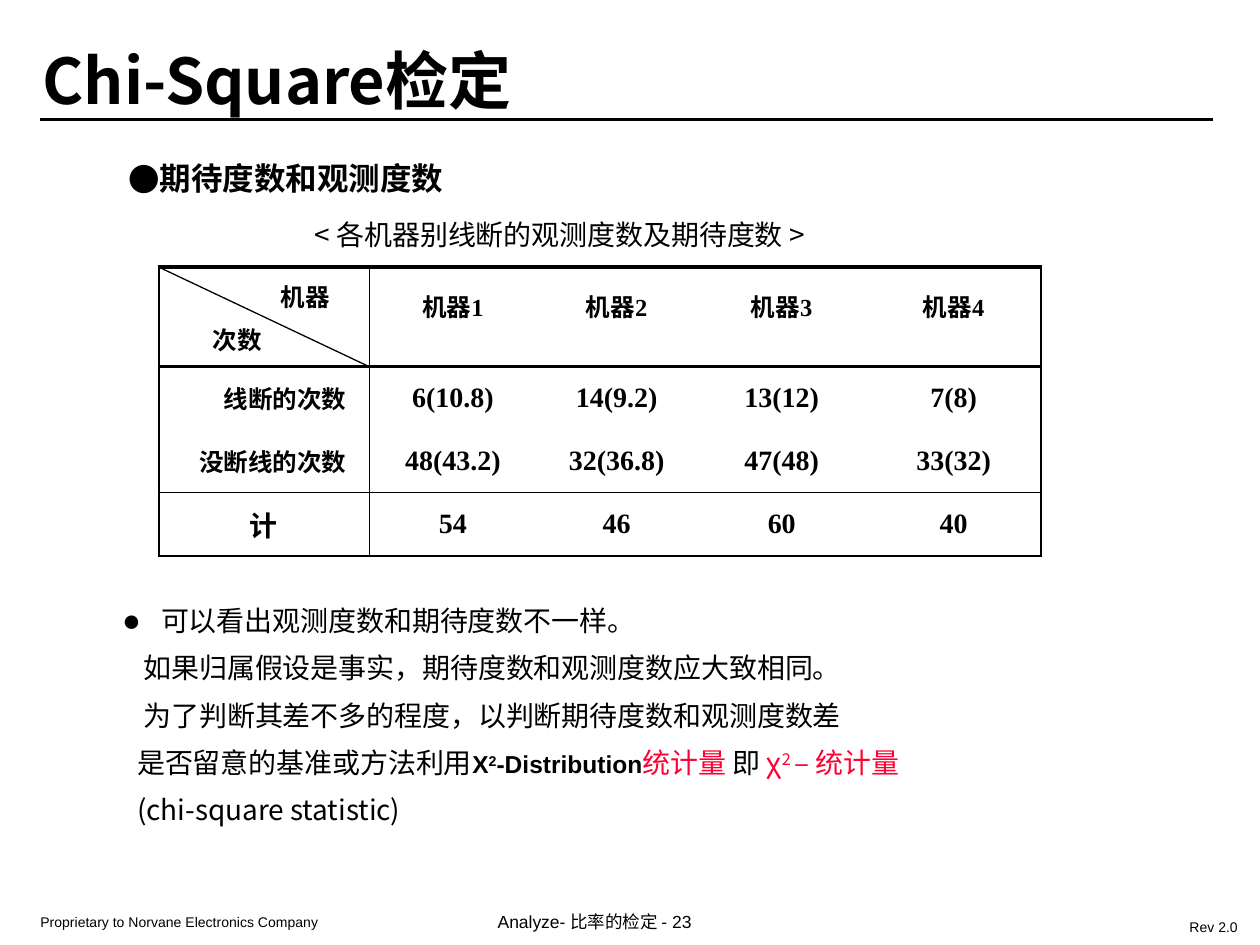
from lxml.etree import SubElement
from pptx import Presentation
from pptx.dml.color import RGBColor
from pptx.enum.shapes import MSO_CONNECTOR
from pptx.enum.text import MSO_ANCHOR, PP_ALIGN
from pptx.oxml.ns import qn
from pptx.util import Inches, Pt

THEME = {
    "ink": "000000", "red": "FF0033",
    "arial": "Arial", "sans": "Noto Sans CJK SC",
    "korean": "Noto Sans CJK KR", "serif": "Times New Roman",
    "title": 36, "head": 18, "body": 16, "label": 14, "page": 10, "foot": 8,
}

# Content
TITLE = "Chi-Square检定"
HEAD = "期待度数和观测度数"
CAPTION = "< 各机器别线断的观测度数及期待度数 >"
CORNER = "机器\n次数"
GRID = [
    [CORNER, "机器1", "机器2", "机器3", "机器4"],
    ["线断的次数", "6(10.8)", "14(9.2)", "13(12)", "7(8)"],
    ["没断线的次数", "48(43.2)", "32(36.8)", "47(48)", "33(32)"],
    ["计", "54", "46", "60", "40"],
]
# Body lines: left margin, then runs of (text, style)
BODY = [
    (0.38, [("可以看出观测度数和期待度数不一样。", "plain")]),
    (0.24, [("如果归属假设是事实，期待度数和观测度数应大致相同。", "plain")]),
    (0.24, [("为了判断其差不多的程度，以判断期待度数和观测度数差", "plain")]),
    (0.19, [("是否留意的基准或方法利用", "plain"), ("X", "strong"),
            ("2", "strong up"), ("-Distribution", "strong"),
            ("统计量 ", "red"), ("即 ", "plain"), ("χ", "red"),
            ("2 ", "red up"), ("– 统计量", "red")]),
    (0.19, [("(chi-square statistic)", "plain")]),
]
# Footer: text, left, top, width, height, size
FOOT = [
    ("Proprietary to Norvane Electronics Company", 0.2, 7.19, 3.21, 0.25, "foot"),
    ("Analyze- 比率的检定 - 23", 3.83, 7.17, 2.33, 0.29, "page"),
    ("Rev 2.0", 9.32, 7.23, 0.66, 0.25, "foot"),
]

# Table layout
LEFT, TOP = 1.26, 2.12
COLS = [1.67, 1.33, 1.27, 1.35, 1.38]
ROWS = [0.79, 0.5, 0.5, 0.5]


def style(run, size, font, color="ink", bold=False):
    face = run.font
    face.size, face.name, face.bold = Pt(THEME[size]), THEME[font], bold
    face.color.rgb = RGBColor.from_string(THEME[color])
    east = THEME["korean" if font == "korean" else "sans"]
    face._element.find(qn("a:latin")).addnext(
        face._element.makeelement(qn("a:ea"), {"typeface": east}))


def add_box(slide, x, y, w, h, pad=(0.1, 0.05)):
    box = slide.shapes.add_textbox(*map(Inches, (x, y, w, h)))
    frame = box.text_frame
    frame.word_wrap = True
    frame.margin_left = frame.margin_right = Inches(pad[0])
    frame.margin_top = frame.margin_bottom = Inches(pad[1])
    return frame


def add_text(slide, text, place, size, font, bold=False, **extra):
    frame = add_box(slide, *place, **extra)
    frame.text = text
    para = frame.paragraphs[0]
    style(para.runs[0], size, font, bold=bold)
    return para


def indent(para, left, hang=0, font=None, scale=100):
    props = para._p.get_or_add_pPr()
    props.set("marL", str(Inches(left)))
    props.set("indent", str(-Inches(hang)))
    if font:
        SubElement(props, qn("a:buSzPct"), val=str(scale * 1000))
        SubElement(props, qn("a:buFont"), typeface=THEME[font])
        SubElement(props, qn("a:buChar"), char="●")


def add_line(slide, x1, y1, x2, y2, width):
    line = slide.shapes.add_connector(
        MSO_CONNECTOR.STRAIGHT, *map(Inches, (x1, y1, x2, y2)))
    line.line.width = Pt(width)
    line.line.color.rgb = RGBColor.from_string(THEME["ink"])
    SubElement(line._element.spPr, qn("a:effectLst"))


def set_edges(cell, widths):
    props = cell._tc.get_or_add_tcPr()
    for spot, (side, width) in enumerate(zip("LRTB", widths)):
        edge = props.makeelement(qn("a:ln" + side), {"w": str(Pt(width))})
        if width:
            fill = SubElement(edge, qn("a:solidFill"))
            SubElement(fill, qn("a:srgbClr"), val=THEME["ink"])
        else:
            SubElement(edge, qn("a:noFill"))
        props.insert(spot, edge)


def add_grid(slide):
    table = slide.shapes.add_table(
        len(ROWS), len(COLS), *map(Inches, (LEFT, TOP, sum(COLS), sum(ROWS)))).table
    table.first_row = table.horz_banding = False
    for col, width in zip(table.columns, COLS):
        col.width = Inches(width)
    for row, height in zip(table.rows, ROWS):
        row.height = Inches(height)
    across = [1.5, 0.75, 0, 0, 0, 1.5]
    down = [3, 2.25, 0, 0.75, 1.5]
    for r, texts in enumerate(GRID):
        for c, text in enumerate(texts):
            cell = table.cell(r, c)
            cell.text = text
            cell.fill.background()
            set_edges(cell, across[c:c + 2] + down[r:r + 2])
            cell.vertical_anchor = MSO_ANCHOR.MIDDLE
            cell.margin_left = cell.margin_right = 0
            cell.margin_top = 0
            cell.margin_bottom = Inches(0.17 if r == 0 else 0)
            label = r == 0 or (c == 0 and r < 3)
            for para in cell.text_frame.paragraphs:
                para.alignment = PP_ALIGN.CENTER
                style(para.runs[0], "label" if label else "body",
                      "sans" if (r, c) == (2, 0) else "serif", bold=True)
            if c == 0 and 0 < r < 3:
                para.alignment = PP_ALIGN.RIGHT
                cell.margin_right = Inches(0.18)

    # Split corner cell
    corner = table.cell(0, 0)
    corner.vertical_anchor = MSO_ANCHOR.TOP
    corner.margin_top, corner.margin_bottom = Inches(0.02), 0
    corner.margin_left, corner.margin_right = Inches(0.43), Inches(0.31)
    sides = (PP_ALIGN.RIGHT, PP_ALIGN.LEFT)
    for para, side in zip(corner.text_frame.paragraphs, sides):
        para.alignment = side
        para.line_spacing = Pt(25)
    add_line(slide, LEFT, TOP, LEFT + COLS[0], TOP + ROWS[0], 0.75)


def add_body(slide):
    frame = add_box(slide, 0.9 - 0.1, 4.69, 7.09, 2.1)
    for spot, (left, runs) in enumerate(BODY):
        para = frame.paragraphs[0] if spot == 0 else frame.add_paragraph()
        para.line_spacing = Pt(23)
        para.space_before = Pt(4 if spot else 0)
        if spot == 0:
            indent(para, left, 0.31, "arial", 112)
        else:
            indent(para, left)
        for text, kind in runs:
            run = para.add_run()
            run.text = text
            strong = "strong" in kind
            style(run, "label" if strong else "body", "arial" if strong else "sans",
                  "red" if "red" in kind else "ink", strong)
            if "up" in kind:
                run.font._element.set("baseline", "30000")


def main():
    deck = Presentation()
    deck.slide_width, deck.slide_height = Inches(10), Inches(7.5)
    slide = deck.slides.add_slide(deck.slide_layouts[6])

    # Footer and title
    for text, x, y, w, h, size in FOOT:
        add_text(slide, text, (x, y, w, h), size, "arial", pad=(0.12, 0.06))
    add_line(slide, 0.32, 0.95, 9.63, 0.95, 1.5)
    title = add_text(slide, TITLE, (0.24, 0.35, 5.79, 0.61), "title", "sans", True)
    title.line_spacing = 0.9

    # Heading, table and remarks
    head = add_text(slide, HEAD, (0.92, 1.21, 5.03, 0.4), "head", "korean", True)
    indent(head, 0.23, 0.23, "korean")
    add_text(slide, CAPTION, (2.4, 1.68, 5.5, 0.37), "body", "sans")
    add_grid(slide)
    add_body(slide)
    deck.save("out.pptx")


if __name__ == "__main__":
    main()
